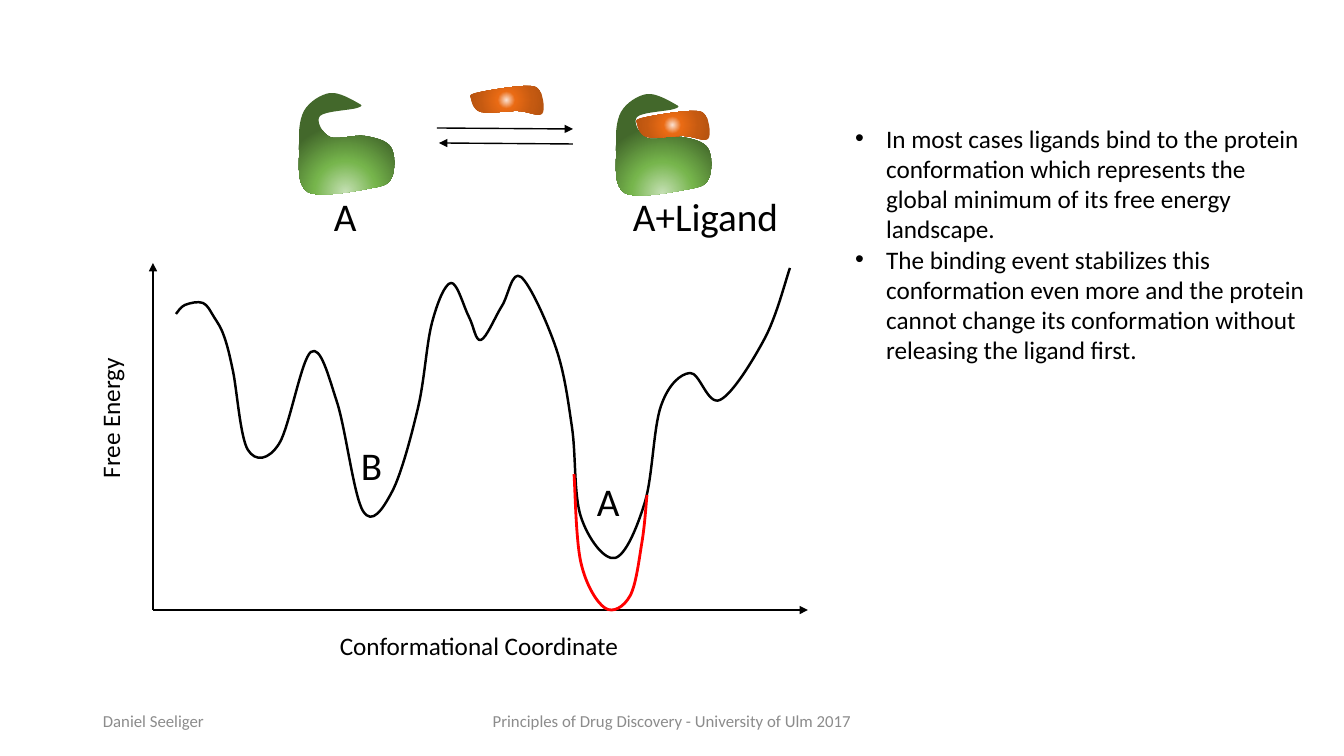
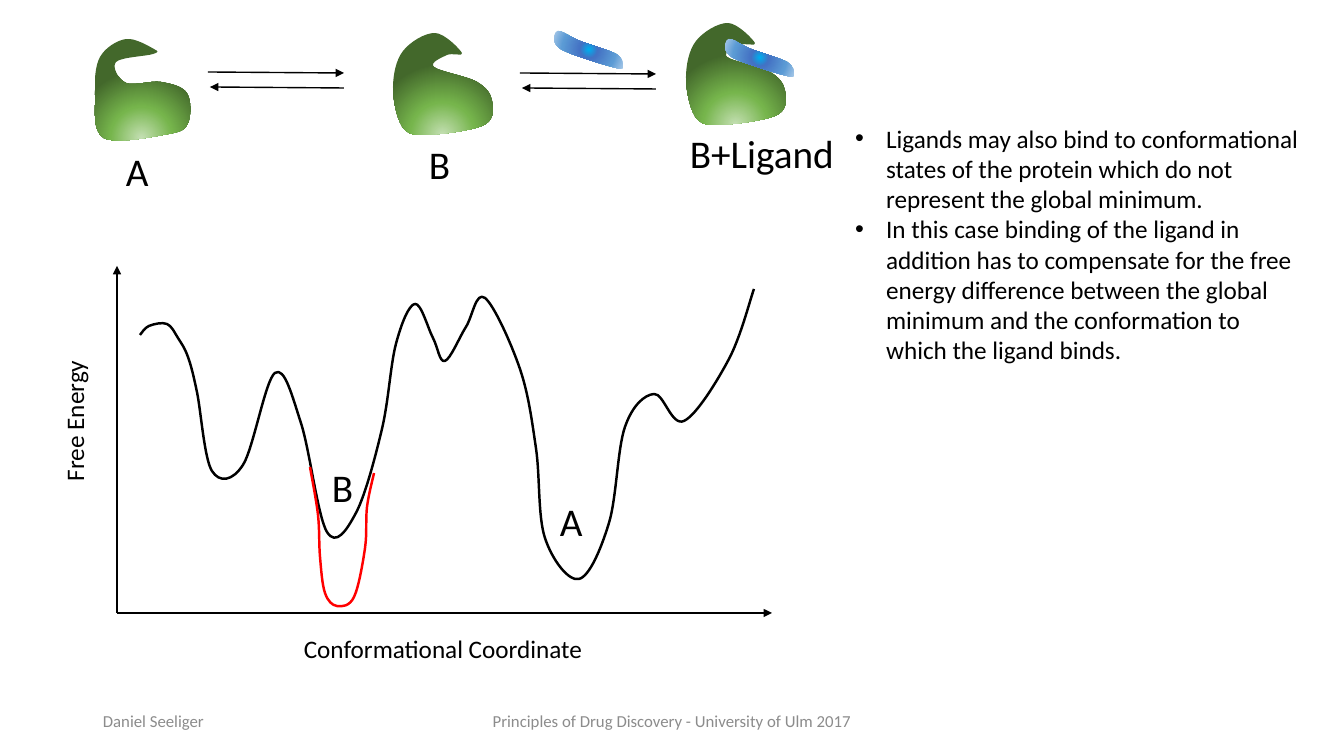
from pptx import Presentation
from pptx.dml.color import RGBColor
from pptx.enum.shapes import MSO_CONNECTOR as CONNECTOR
from pptx.enum.text import MSO_ANCHOR as ANCHOR, MSO_AUTO_SIZE as AUTO_SIZE, PP_ALIGN as ALIGN
from pptx.oxml import parse_xml
from pptx.oxml.ns import nsdecls, qn
from pptx.util import Pt

EMU_PER_PX = 914400 / 100.8
FONT = "Calibri"
BLACK, RED, GREY = "000000", "FF0000", "8C8C8C"

CENTRE_FOCUS = (50, 50, 50, 50)
LOW_FOCUS = (50, 130, 50, -30)
GREEN_GLOW = ([(0, "C5E0B4"), (46, "76B54C"), (100, "43682B")], LOW_FOCUS)
ORANGE_GLOW = ([(0, "FBE1D0"), (23, "EA6B14"), (69, "C55A11"), (97, "B85410")], CENTRE_FOCUS)
BLUE_GLOW = ([(0, "00B0F0"), (23, "4472C4"), (69, "5B9BD5"), (97, "9DC3E6")], CENTRE_FOCUS)

PROTEIN_A = ([(59, 11), (31, 1), (5, 19), (0, 57), (9, 100), (73, 96), (93, 85), (92, 55),
              (66, 44), (31, 45), (21, 24), (58, 16)], GREEN_GLOW)
PROTEIN_B = ([(69, 20), (42, 0), (10, 18), (0, 54), (9, 93), (32, 102), (91, 92), (99, 68),
              (84, 49), (41, 34), (54, 22)], GREEN_GLOW)
LIGAND_FOR_A = ([(54, 1), (6, 8), (1, 14), (11, 27), (48, 26), (72, 29), (70, 6)], ORANGE_GLOW)
LIGAND_FOR_B = ([(15, 23), (62, 38), (69, 36), (62, 24), (26, 11), (4, 1), (1, 13)], BLUE_GLOW)

AXIS_WIDTH, AXIS_HEIGHT = 655, 347
ENERGY_CURVE = [
    (23, 51), (32, 42), (50, 40), (61, 54), (71, 73), (80, 108), (95, 187), (126, 181),
    (158, 89), (184, 139), (210, 248), (239, 229), (265, 145), (279, 60), (298, 20),
    (316, 54), (328, 77), (349, 43), (368, 14), (403, 85), (419, 164), (428, 254),
    (462, 295), (492, 239), (508, 143), (537, 110), (567, 137), (612, 75), (637, 5)]
WELL_A = [(421, 211), (428, 300), (452, 345), (477, 333), (489, 279), (494, 232)]
WELL_B = [(193, 201), (201, 249), (203, 291), (208, 327), (220, 340), (237, 331),
          (248, 282), (250, 241), (257, 207)]

SLIDES = [
    {
        "molecules": [(PROTEIN_A, 299, 92), (LIGAND_FOR_A, 470, 85),
                      (PROTEIN_A, 616, 93), (LIGAND_FOR_A, 636, 110)],
        "equilibria": [(437, 128)],
        "states": [("A", 324, 187), ("A+Ligand", 623, 187)],
        "landscape": {"left": 153, "top": 263, "curve_drop": 0, "well": WELL_A, "well_pt": 2,
                      "minima": [("B", 198, 173), ("A", 434, 209)]},
        "points": [
            "In most cases ligands bind to the protein conformation which represents the "
            "global minimum of its free energy landscape.",
            "The binding event stabilizes this conformation even more and the protein cannot "
            "change its conformation without releasing the ligand first."],
    },
    {
        "molecules": [(PROTEIN_A, 95, 38), (PROTEIN_B, 393, 33), (LIGAND_FOR_B, 554, 30),
                      (PROTEIN_B, 686, 23), (LIGAND_FOR_B, 725, 38)],
        "equilibria": [(208, 72), (520, 73)],
        "states": [("A", 116, 142), ("B", 419, 135), ("B+Ligand", 680, 124)],
        "landscape": {"left": 117, "top": 266, "curve_drop": 18, "well": WELL_B, "well_pt": 1.75,
                      "minima": [("B", 205, 192), ("A", 433, 226)]},
        "points": [
            "Ligands may also bind to conformational states of the protein which do not "
            "represent the global minimum.",
            "In this case binding of the ligand in addition has to compensate for the free "
            "energy difference between the global minimum and the conformation to which the "
            "ligand binds."],
    },
]


def px(length):
    return round(length * EMU_PER_PX)


def colour(hex_code):
    return RGBColor.from_string(hex_code)


def add_run(paragraph, text, size, hex_code=BLACK):
    run = paragraph.add_run()
    run.text = text
    run.font.name = FONT
    run.font.size = Pt(size)
    run.font.color.rgb = colour(hex_code)


def add_text(slide, text, left, top, width, height, size, hex_code=BLACK,
             align=ALIGN.LEFT, anchor=ANCHOR.TOP):
    box = slide.shapes.add_textbox(px(left), px(top), px(width), px(height))
    frame = box.text_frame
    frame.word_wrap = True
    frame.vertical_anchor = anchor
    frame.paragraphs[0].alignment = align
    add_run(frame.paragraphs[0], text, size, hex_code)
    return box


def add_state_label(slide, text, left, top):
    add_text(slide, text, left, top, 48 if len(text) == 1 else 184, 57, 28)


def add_arrow(slide, start, end, weight):
    arrow = slide.shapes.add_connector(CONNECTOR.STRAIGHT, *map(px, start + end))
    arrow.line.width = Pt(weight)
    arrow.line.color.rgb = colour(BLACK)
    arrow.line._get_or_add_ln().append(parse_xml(f'<a:tailEnd {nsdecls("a")} type="triangle"/>'))
    arrow._element.spPr.append(parse_xml(f'<a:effectLst {nsdecls("a")}/>'))


def smooth(shape, closed):
    geometry = shape._element.spPr.find(qn("a:custGeom"))
    anchors = [(int(pt.get("x")), int(pt.get("y"))) for pt in geometry.iter(qn("a:pt"))]
    first, last = (anchors[-2], anchors[1]) if closed else (anchors[0], anchors[-1])
    padded = [first, *anchors, last]
    segments = list(geometry.iter(qn("a:lnTo")))
    for segment, before, start, end, after in zip(
            segments, padded, padded[1:], padded[2:], padded[3:]):
        leaving = [s + (e - b) / 6 for b, s, e in zip(before, start, end)]
        arriving = [e - (a - s) / 6 for s, e, a in zip(start, end, after)]
        points = "".join(f'<a:pt x="{round(x)}" y="{round(y)}"/>'
                         for x, y in (leaving, arriving, end))
        bezier = parse_xml(f'<a:cubicBezTo {nsdecls("a")}>{points}</a:cubicBezTo>')
        segment.getparent().replace(segment, bezier)


def add_outline(slide, anchors, left, top, closed):
    outline = [(px(left + x), px(top + y)) for x, y in anchors]
    if closed:
        outline.append(outline[0])
    builder = slide.shapes.build_freeform(*outline[0])
    builder.add_line_segments(outline[1:], close=closed)
    shape = builder.convert_to_shape()
    smooth(shape, closed)
    shape.shadow.inherit = False
    shape.fill.background()
    return shape


def add_curve(slide, anchors, left, top, hex_code, weight):
    curve = add_outline(slide, anchors, left, top, closed=False)
    curve.line.color.rgb = colour(hex_code)
    curve.line.width = Pt(weight)


def add_molecule(slide, molecule, left, top):
    anchors, (stops, focus) = molecule
    body = add_outline(slide, anchors, left, top, closed=True)
    body.line.fill.background()
    stop_xml = "".join(
        f'<a:gs pos="{pos * 1000}"><a:srgbClr val="{hex_code}"/></a:gs>' for pos, hex_code in stops)
    focus_xml = " ".join(f'{side}="{part * 1000}"' for side, part in zip("ltrb", focus))
    glow = parse_xml(
        f'<a:gradFill {nsdecls("a")} rotWithShape="1"><a:gsLst>{stop_xml}</a:gsLst>'
        f'<a:path path="circle"><a:fillToRect {focus_xml}/></a:path></a:gradFill>')
    properties = body._element.spPr
    properties.replace(properties.find(qn("a:noFill")), glow)


def add_equilibrium(slide, left, top):
    add_arrow(slide, (left, top), (left + 136, top + 1), 1)
    add_arrow(slide, (left + 136, top + 16), (left + 2, top + 15), 1)


def add_binding_scheme(slide, molecules, equilibria, states):
    for molecule in molecules:
        add_molecule(slide, *molecule)
    for position in equilibria:
        add_equilibrium(slide, *position)
    for state in states:
        add_state_label(slide, *state)


def add_landscape(slide, left, top, curve_drop, well, well_pt, minima):
    origin = (left, top + AXIS_HEIGHT)
    add_arrow(slide, origin, (left, top), 2)
    add_arrow(slide, origin, (left + AXIS_WIDTH, top + AXIS_HEIGHT), 2)
    add_curve(slide, ENERGY_CURVE, left, top + curve_drop, BLACK, 1.75)
    add_curve(slide, well, left, top, RED, well_pt)
    energy = add_text(slide, "Free Energy", left - 123, top + 135, 160, 40, 18, align=ALIGN.CENTER)
    energy.rotation = 270
    add_text(slide, "Conformational Coordinate", left + 175, top + 362, 302, 40, 18,
             align=ALIGN.CENTER)
    for name, x, y in minima:
        add_state_label(slide, name, left + x, top + y)


def fill_points(body, points, left, top, width, height):
    body.left, body.top, body.width, body.height = map(px, (left, top, width, height))
    frame = body.text_frame
    frame.word_wrap = True
    frame.auto_size = AUTO_SIZE.NONE
    frame.vertical_anchor = ANCHOR.TOP
    for index, point in enumerate(points):
        paragraph = frame.add_paragraph() if index else frame.paragraphs[0]
        properties = paragraph._p.get_or_add_pPr()
        properties.set("marL", str(px(31)))
        properties.set("indent", str(-px(31)))
        properties.append(parse_xml(f'<a:buFont {nsdecls("a")} typeface="Arial"/>'))
        properties.append(parse_xml(f'<a:buChar {nsdecls("a")} char="•"/>'))
        paragraph.alignment = ALIGN.LEFT
        paragraph.line_spacing = 1.0
        paragraph.space_before = paragraph.space_after = Pt(0)
        add_run(paragraph, point, 18)


def add_footer(slide, top):
    add_text(slide, "Daniel Seeliger", 93, top, 302, 40, 12, GREY, anchor=ANCHOR.MIDDLE)
    add_text(slide, "Principles of Drug Discovery - University of Ulm 2017", 445, top, 454, 40,
             12, GREY, ALIGN.CENTER, ANCHOR.MIDDLE)


def add_binding_slide(deck, content):
    slide = deck.slides.add_slide(deck.slide_layouts[1])
    title = slide.shapes.title._element
    title.getparent().remove(title)
    add_landscape(slide, **content["landscape"])
    add_binding_scheme(slide, content["molecules"], content["equilibria"], content["states"])
    fill_points(slide.placeholders[1], content["points"], 845, 118, 471, 254)
    add_footer(slide, 701)


def main():
    deck = Presentation()
    deck.slide_width, deck.slide_height = px(1344), px(756)
    for content in SLIDES:
        add_binding_slide(deck, content)
    deck.save("out.pptx")


if __name__ == "__main__":
    main()
